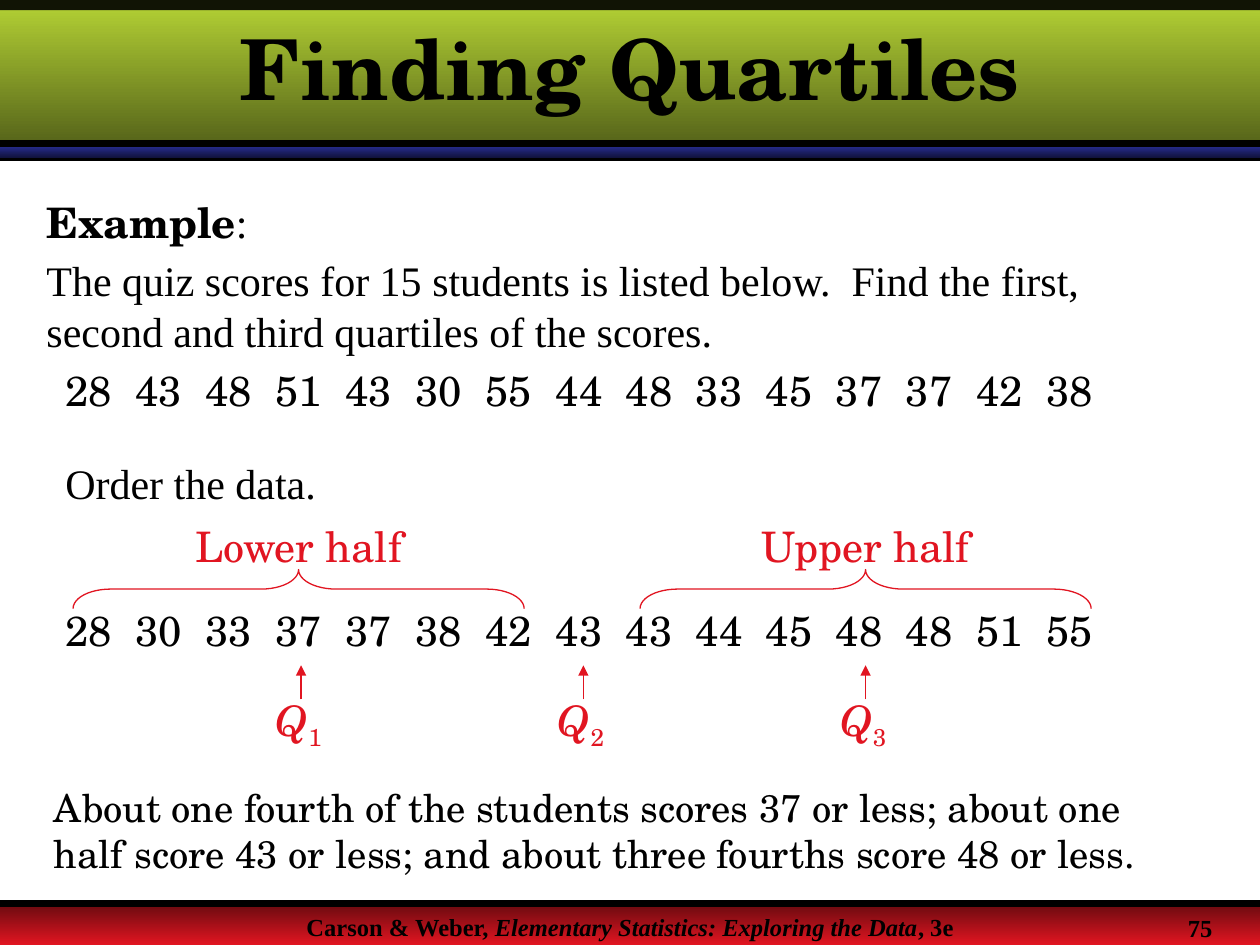
from lxml.etree import SubElement
from pptx import Presentation
from pptx.dml.color import RGBColor
from pptx.enum.shapes import MSO_CONNECTOR, MSO_SHAPE
from pptx.enum.text import MSO_ANCHOR, PP_ALIGN
from pptx.oxml.ns import qn
from pptx.util import Inches, Pt

BLACK = RGBColor(0x00, 0x00, 0x00)
RED = RGBColor(0xE1, 0x15, 0x21)
MAROON = RGBColor(0x68, 0x0A, 0x0F)
LIME = RGBColor(0xB5, 0xD3, 0x35)
OLIVE = RGBColor(0x54, 0x62, 0x19)
BLUE = RGBColor(0x24, 0x29, 0x85)
NAVY = RGBColor(0x11, 0x13, 0x3E)
SCHOOL = "TeX Gyre Schola"
TIMES = "Times New Roman"
SCORES = [28, 43, 48, 51, 43, 30, 55, 44, 48, 33, 45, 37, 37, 42, 38]


def add_text(slide, box, paras, size=24, font=SCHOOL, color=BLACK,
             align=PP_ALIGN.LEFT, before=0, bold=False):
    """Place a text box; each paragraph is a list of (text, style) runs."""
    shape = slide.shapes.add_textbox(*map(Inches, box))
    frame = shape.text_frame
    frame.word_wrap = True
    for i, runs in enumerate(paras):
        para = frame.paragraphs[0] if i == 0 else frame.add_paragraph()
        para.alignment = align
        para.space_before = Pt(before)
        for text, style in runs:
            run = para.add_run()
            run.text = text
            run.font.size = Pt(size)
            run.font.name = style.get("font", font)
            run.font.color.rgb = color
            run.font.bold = style.get("bold", bold)
            run.font.italic = style.get("italic", False)
            if "base" in style:
                run.font._element.set("baseline", str(style["base"] * 1000))
    return shape


def add_band(slide, box, start, end):
    """Place a bar shaded from the start colour down to the end colour."""
    band = slide.shapes.add_shape(MSO_SHAPE.RECTANGLE, *map(Inches, box))
    band.shadow.inherit = False
    band.line.fill.background()
    band.fill.gradient()
    band.fill.gradient_angle = 270
    for stop, color, place in zip(band.fill.gradient_stops, (start, end), (0, 1)):
        stop.color.rgb = color
        stop.position = place


def add_line(slide, start, end, color, width):
    """Place a straight line without a shadow."""
    line = slide.shapes.add_connector(
        MSO_CONNECTOR.STRAIGHT, *map(Inches, start + end))
    line.line.color.rgb = color
    line.line.width = Pt(width)
    SubElement(line._element.spPr, qn("a:effectLst"))
    return line


def add_head(slide, box):
    """Draw the title band with its rules and heading."""
    left, top, width, height = box
    right = left + width
    add_line(slide, (left, top + 1.25), (right, top + 1.25), BLACK, 4)
    add_band(slide, (left, top + 1.17, width, 0.08), BLUE, NAVY)
    add_band(slide, (left, top, width, 1.17), LIME, OLIVE)
    bar = slide.shapes.add_shape(
        MSO_SHAPE.RECTANGLE, *map(Inches, (left, top, width, 0.08)))
    bar.shadow.inherit = False
    bar.line.fill.background()
    bar.fill.solid()
    bar.fill.fore_color.rgb = BLACK
    shade = bar._element.spPr.find(".//" + qn("a:srgbClr"))
    SubElement(shade, qn("a:alpha"), val="90000")
    add_line(slide, (left, top + 1.14), (right, top + 1.14), BLACK, 4)
    title = add_text(slide, (left, top + 0.12, width, 0.83),
                     [[("Finding Quartiles", {})]],
                     size=48, align=PP_ALIGN.CENTER, bold=True)
    title.text_frame.vertical_anchor = MSO_ANCHOR.MIDDLE


def add_foot(slide, box):
    """Draw the footer band with the book line and page number."""
    left, top, width, height = box
    add_band(slide, box, MAROON, RED)
    add_line(slide, (left, top), (left + width, top), BLACK, 4)
    book = [("Carson & Weber, ", {}),
            ("Elementary Statistics: Exploring the Data", {"italic": True}),
            (", 3e", {})]
    add_text(slide, (left, top + 0.02, width, 0.31), [book], size=14,
             font=TIMES, align=PP_ALIGN.CENTER, bold=True)
    add_text(slide, (left + 9.33, top + 0.03, 0.6, 0.3), [[("75", {})]],
             size=14, font=TIMES, bold=True)


def add_scores(slide, box, scores):
    """Write one row of scores."""
    add_text(slide, box, [[("  ".join(map(str, scores)), {})]])


def add_half(slide, box, label):
    """Label one half of the data above an upward brace."""
    left, top, width, height = box
    add_text(slide, (left, top, width, 0.5), [[(label, {})]], color=RED,
             align=PP_ALIGN.CENTER, before=15)
    thick, span = 0.31, 3.58
    mid, level = left + width / 2, top + height - thick / 2
    brace = slide.shapes.add_shape(
        MSO_SHAPE.RIGHT_BRACE, Inches(mid - thick / 2),
        Inches(level - span / 2), Inches(thick), Inches(span))
    brace.rotation = 270
    brace.adjustments[0] = 0.96
    brace.shadow.inherit = False
    brace.fill.background()
    brace.line.color.rgb = RED
    brace.line.width = Pt(0.75)


def add_mark(slide, box, index):
    """Point an arrow up from a quartile name."""
    left, top, width, height = box
    mid = left + 0.3
    add_text(slide, (left, top + 0.18, width, height - 0.18),
             [[("Q", {"italic": True}), (str(index), {"base": -25})]],
             color=RED, before=15)
    arrow = add_line(slide, (mid, top + 0.27), (mid, top), RED, 0.75)
    SubElement(arrow.line._get_or_add_ln(), qn("a:tailEnd"), type="triangle")


def add_task(slide, box):
    """State the example, the raw scores and the first step."""
    left, top, width, height = box
    add_text(slide, (left, top, width, 1.37), [
        [("Example", {"font": SCHOOL, "bold": True}), (":", {})],
        [("The quiz scores for 15 students is listed below.  Find the first, "
          "second and third quartiles of the scores.", {})],
    ], font=TIMES, before=4.5)
    add_scores(slide, (left + 0.15, top + 1.33, 8.67, 0.5), SCORES)
    add_text(slide, (left + 0.15, top + 2.07, 2.4, 0.5),
             [[("Order the data.", {})]], font=TIMES, before=15)


def add_answer(slide, box):
    """Show the ordered scores, their halves, quartiles and meaning."""
    left, top, width, height = box
    add_scores(slide, (left + 0.09, top + 0.67, 8.67, 0.5), sorted(SCORES))
    for i, label in enumerate(("Lower half", "Upper half")):
        add_half(slide, (left + 0.5 + 4.5 * i, top, 3.08, 0.75), label)
    for i in range(3):
        add_mark(slide, (left + 1.76 + 2.24 * i, top + 1.2, 0.8, 0.74), i + 1)
    add_text(slide, (left, top + 2.09, width, 0.84), [
        [("About one fourth of the students scores 37 or less; about one half "
          "score 43 or less; and about three fourths score 48 or less.", {})],
    ], size=22, before=13.8)


def main():
    """Build and save the slide."""
    deck = Presentation()
    deck.slide_width, deck.slide_height = Inches(10), Inches(7.5)
    slide = deck.slides.add_slide(deck.slide_layouts[6])
    add_foot(slide, (0, 7.17, 10, 0.33))
    add_head(slide, (0, 0, 10, 1.25))
    add_task(slide, (0.27, 1.51, 9.25, 2.57))
    add_answer(slide, (0.33, 4.08, 9.25, 2.93))
    deck.save("out.pptx")


if __name__ == "__main__":
    main()
